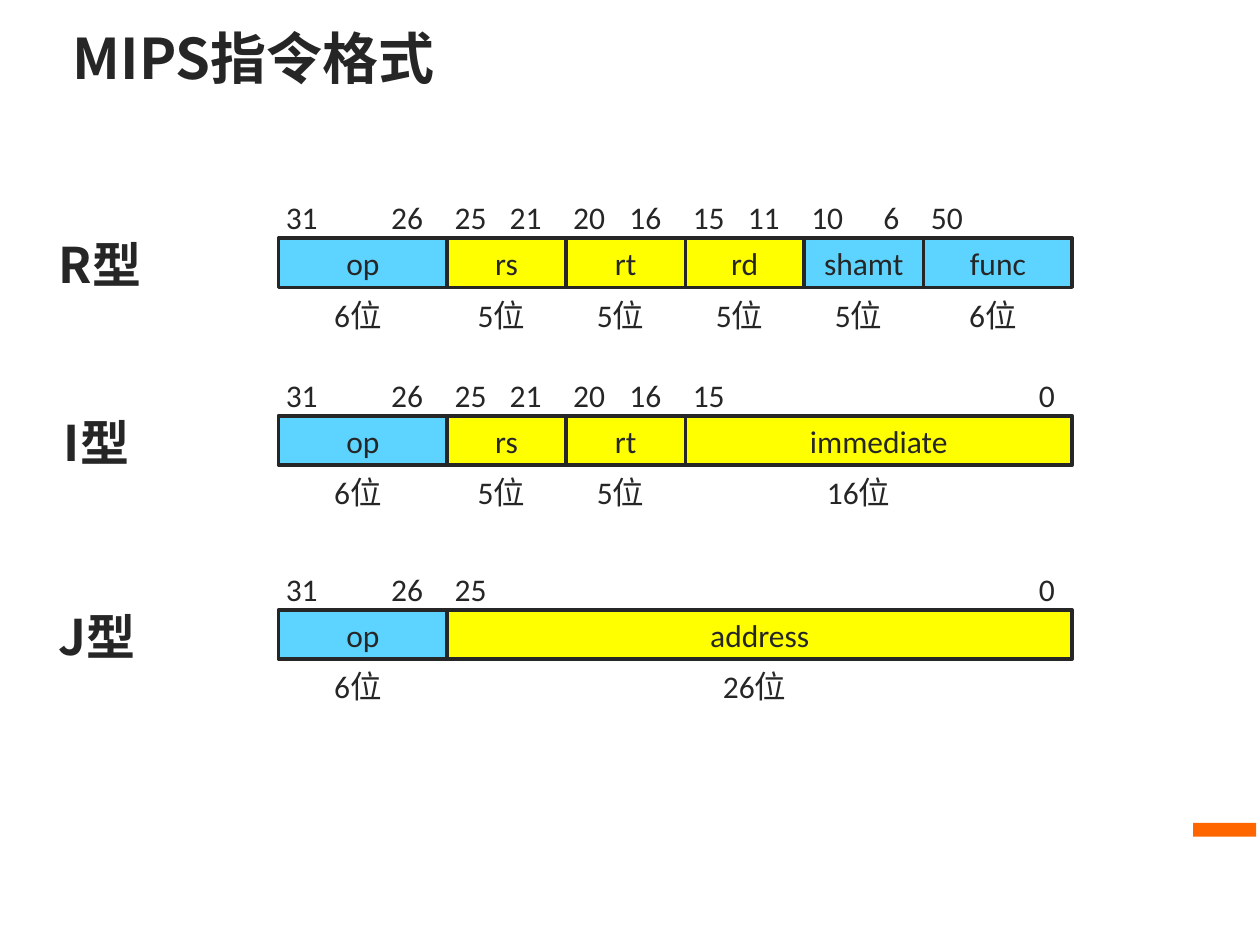
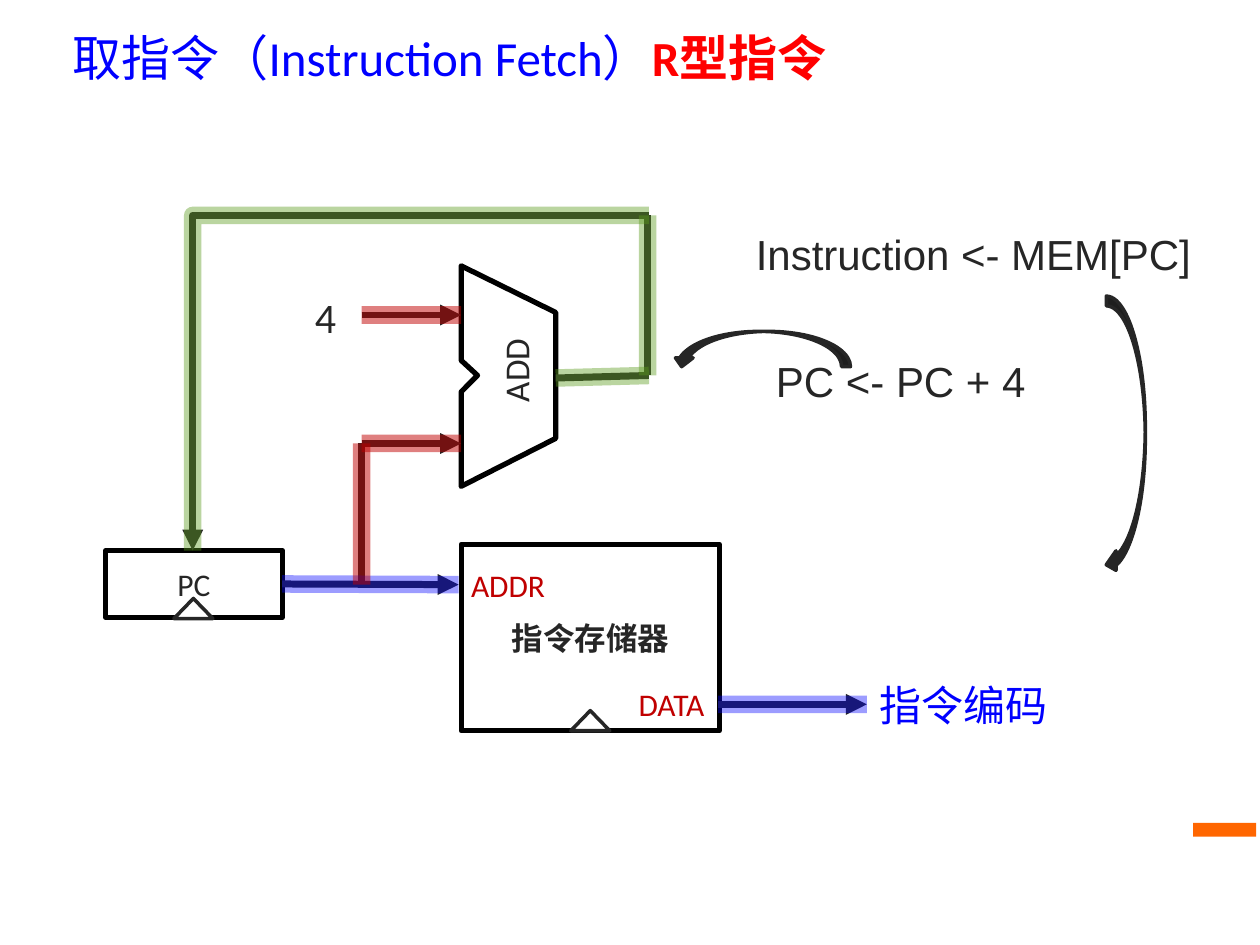
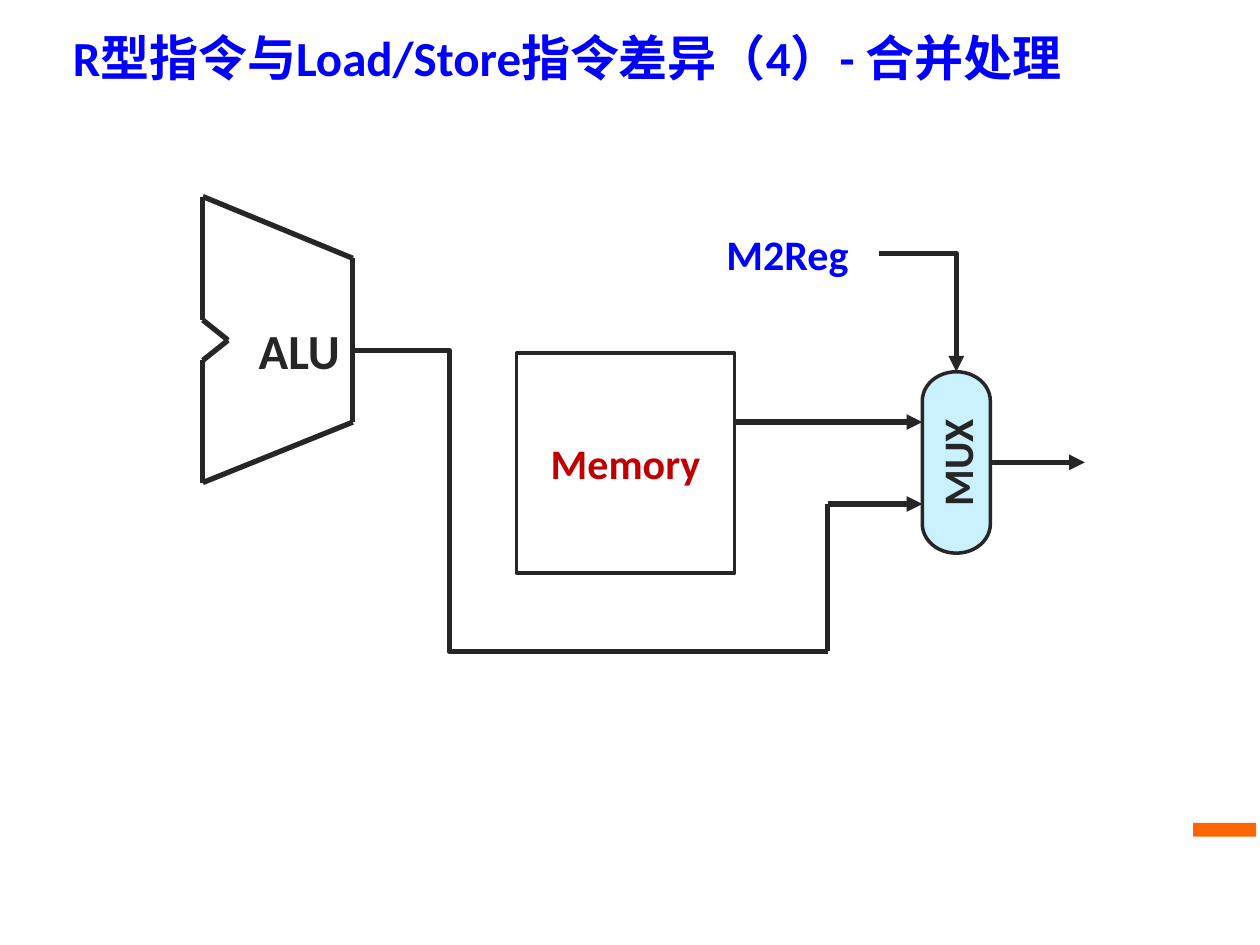
"""Build three slides on MIPS instruction formats and datapath parts."""
import pptx
import pptx.dml.color
import pptx.enum.shapes
import pptx.enum.text
import pptx.oxml.ns
import pptx.oxml.xmlchemy
import pptx.util
from lxml import etree

PX = 9144
COLORS = {
    "ink": "262626", "black": "000000", "white": "FFFFFF", "accent": "FF6600",
    "blue": "0000FF", "red": "FF0000", "crimson": "C00000", "green": "5C9B1D",
    "sky": "5DD4FF", "yellow": "FFFF00", "ice": "C9F1FF",
}
CJK = "Noto Sans CJK SC"
SHAPE = pptx.enum.shapes.MSO_SHAPE
CONNECTOR = pptx.enum.shapes.MSO_CONNECTOR
ALIGN = {
    "left": pptx.enum.text.PP_ALIGN.LEFT,
    "center": pptx.enum.text.PP_ALIGN.CENTER,
    "right": pptx.enum.text.PP_ALIGN.RIGHT,
    "justify": pptx.enum.text.PP_ALIGN.JUSTIFY,
}
qn = pptx.oxml.ns.qn

TITLE_BOX = (48, 8, 919, 75)
ACCENT_BOX = (947, 653, 50, 11)

FIELD_EDGES = [221, 355, 449, 544, 638, 733, 851]
FIELD_HEIGHT = 39
LABEL_SHIFT = -4
BITS_ABOVE, WIDTH_BELOW = -36, 41
TAB_MARGIN = 25
FORMATS = [
    {"name": "R型", "left": 37, "top": 189,
     "fields": [("op", 0, 1, "sky"), ("rs", 1, 2, "yellow"), ("rt", 2, 3, "yellow"),
                ("rd", 3, 4, "yellow"), ("shamt", 4, 5, "sky"), ("func", 5, 6, "sky")],
     "widths": [("6位", 0, 1), ("5位", 1, 2), ("5位", 2, 3),
                ("5位", 3, 4), ("5位", 4, 5), ("6位", 5, 6)],
     "bits": [("31\t26", 0, "left"), ("25\t21", 1, "left"), ("20\t16", 2, "left"),
              ("15\t11", 3, "left"), ("10\t6", 4, "left"), ("50", 5, "justify")]},
    {"name": "I型", "left": 41, "top": 330,
     "fields": [("op", 0, 1, "sky"), ("rs", 1, 2, "yellow"), ("rt", 2, 3, "yellow"),
                ("immediate", 3, 6, "yellow")],
     "widths": [("6位", 0, 1), ("5位", 1, 2), ("5位", 2, 3), ("16位", 4, 5)],
     "bits": [("31\t26", 0, "left"), ("25\t21", 1, "left"), ("20\t16", 2, "left"),
              ("15", 3, "left"), ("0", 5, "right")]},
    {"name": "J型", "left": 37, "top": 484,
     "fields": [("op", 0, 1, "sky"), ("address", 1, 6, "yellow")],
     "widths": [("6位", 0, 1), ("26位", 1, 6)],
     "bits": [("31\t26", 0, "left"), ("25", 1, "left"), ("0", 5, "right")]},
]

ADDER_OUTLINE = [(366, 211), (366, 286), (379, 298), (366, 311),
                 (366, 386), (441, 348), (441, 248)]
PC_BOX = (84, 437, 140, 53)
CLOCK_MARKS = [(138, 475, 31, 16), (453, 564, 31, 16)]
FETCH_WIRES = [
    ("blue", 39, (224, 464), (364, 464), "arrow"),
    ("blue", 39, (570, 559), (688, 559), "arrow"),
    ("crimson", 49, (287, 352), (366, 352), "arrow"),
    ("crimson", 49, (287, 464), (287, 352), "plain"),
    ("crimson", 49, (287, 250), (366, 250), "arrow"),
    ("green", 41, (515, 171), (153, 437), "corner"),
    ("green", 41, (441, 300), (515, 298), "plain"),
    ("green", 41, (514, 298), (514, 171), "plain"),
]
FETCH_LABELS = [
    ("Instruction <- MEM[PC]", (590, 176, 410, 50), 24, "ink", "Arial"),
    ("PC <- PC + 4", (606, 277, 220, 50), 24, "ink", "Arial"),
    ("ADDR", (364, 444, 80, 40), 18, "crimson", "Calibri"),
    ("DATA", (497, 539, 73, 40), 18, "crimson", "Calibri"),
    ("指令编码", (688, 534, 155, 50), 24, "blue", "Calibri"),
    ("4", (240, 226, 37, 50), 24, "ink", "Calibri"),
]

ALU_OUTLINE = [(161, 156), (161, 254), (181, 270), (161, 286),
               (161, 383), (280, 335), (280, 205)]
MERGE_WIRES = [
    ((583, 335), (732, 335), True),
    ((657, 400), (732, 400), True),
    ((657, 400), (657, 517), False),
    ((786, 367), (861, 367), True),
]
MERGE_LABELS = [
    ("ALU", (194, 254, 87, 47), 28, "ink"),
    ("M2Reg", (551, 181, 148, 40), 24, "blue"),
]


def rgb(color):
    return pptx.dml.color.RGBColor.from_string(COLORS[color])


def emu(lengths):
    return [length * PX for length in lengths]


def write(shape, text, size=18, color="ink", font="Calibri", bold=False, align="left", wrap=True):
    frame = shape.text_frame
    frame.word_wrap = wrap
    frame.vertical_anchor = pptx.enum.text.MSO_ANCHOR.MIDDLE
    frame.text = text
    paragraph = frame.paragraphs[0]
    paragraph.alignment = ALIGN[align]
    for run in paragraph.runs:
        style(run, size, color, font, bold)
    return shape


def style(run, size, color, font, bold):
    run.font.size = pptx.util.Pt(size)
    run.font.name = font
    run.font.bold = bold
    run.font.color.rgb = rgb(color)
    east_asian = etree.SubElement(run.font._element, qn("a:ea"))
    east_asian.set("typeface", CJK)


def add_label(slide, text, box, **look):
    return write(slide.shapes.add_textbox(*emu(box)), text, **look)


def paint(shape, fill, line, width):
    shape.shadow.inherit = False
    shape.fill.solid()
    shape.fill.fore_color.rgb = rgb(fill)
    if line:
        shape.line.color.rgb = rgb(line)
        shape.line.width = pptx.util.Pt(width)
    else:
        shape.line.fill.background()
    return shape


def add_block(slide, kind, box, fill="white", line="ink", width=2):
    return paint(slide.shapes.add_shape(kind, *emu(box)), fill, line, width)


def add_wire(slide, start, end, width=3, color="ink", arrow=False, alpha=None, elbow=None, bend=None):
    kind = CONNECTOR.ELBOW if elbow else CONNECTOR.STRAIGHT
    wire = slide.shapes.add_connector(kind, *emu(start + end))
    wire.line.color.rgb = rgb(color)
    wire.line.width = pptx.util.Pt(width)
    properties = wire._element.spPr
    etree.SubElement(properties, qn("a:effectLst"))
    outline = wire.line._get_or_add_ln()
    if alpha:
        tint = outline.find(".//" + qn("a:srgbClr"))
        etree.SubElement(tint, qn("a:alpha")).set("val", str(alpha * 1000))
    if arrow:
        etree.SubElement(outline, qn("a:tailEnd")).set("type", "triangle")
    if elbow:
        geometry = properties.find(qn("a:prstGeom"))
        geometry.set("prst", elbow)
        if bend:
            guide = etree.SubElement(geometry.find(qn("a:avLst")), qn("a:gd"))
            guide.set("name", "adj1")
            guide.set("fmla", f"val {bend}")
    return wire


def start_slide(deck, title_runs, size):
    slide = deck.slides.add_slide(deck.slide_layouts[6])
    add_block(slide, SHAPE.RECTANGLE, ACCENT_BOX, "accent", None)
    title = add_label(slide, "", TITLE_BOX)
    for text, color, font, bold in title_runs:
        run = title.text_frame.paragraphs[0].add_run()
        run.text = text
        style(run, size, color, font, bold)
    return slide


def add_right_tab(label, position):
    properties = label.text_frame.paragraphs[0]._p.get_or_add_pPr()
    stops = etree.SubElement(properties, qn("a:tabLst"))
    stop = etree.SubElement(stops, qn("a:tab"))
    stop.set("pos", str(position * PX))
    stop.set("algn", "r")


def build_formats(deck):
    slide = start_slide(deck, [("MIPS指令格式", "ink", CJK, True)], 32)
    for row in FORMATS:
        top = row["top"]

        def span(first, last, shift=0, drop=0):
            left = FIELD_EDGES[first]
            return left + shift, top + drop, FIELD_EDGES[last] - left, FIELD_HEIGHT

        for name, first, last, fill in row["fields"]:
            field = add_block(slide, SHAPE.RECTANGLE, span(first, last), fill)
            write(field, name, align="center")
        for bit_count, first, last in row["widths"]:
            add_label(slide, bit_count, span(first, last, LABEL_SHIFT, WIDTH_BELOW), align="center")
        for bits, column, align in row["bits"]:
            box = span(column, column + 1, LABEL_SHIFT, BITS_ABOVE)
            label = add_label(slide, bits, box, align=align)
            if "\t" in bits:
                add_right_tab(label, box[2] - TAB_MARGIN)
        add_label(slide, row["name"], (row["left"], top - 17, 180, 75), size=28, font=CJK, bold=True)


def build_fetch(deck):
    slide = start_slide(deck, [("取指令（Instruction Fetch）", "blue", "Calibri", False),
                               ("R型指令", "red", "Calibri", True)], 28)
    counter = add_block(slide, SHAPE.RECTANGLE, PC_BOX, line="black", width=3)
    write(counter, "PC", align="center")
    memory = add_block(slide, SHAPE.RECTANGLE, (366, 432, 205, 148), line="black", width=3)
    write(memory, "指令存储器", bold=True, align="center")
    for box in CLOCK_MARKS:
        add_block(slide, SHAPE.ISOSCELES_TRIANGLE, box)
    builder = slide.shapes.build_freeform(*ADDER_OUTLINE[0], scale=PX)
    builder.add_line_segments(ADDER_OUTLINE[1:], close=True)
    paint(builder.convert_to_shape(), "white", "black", 3)
    adder_label = add_label(slide, "ADD", (382, 268, 54, 61), size=20, wrap=False)
    adder_label.text_frame._txBody.bodyPr.set("vert", "vert270")
    for text, box, size, color, font in FETCH_LABELS:
        add_label(slide, text, box, size=size, color=color, font=font, wrap=font == "Arial")
    for glowing in (False, True):
        for color, alpha, start, end, kind in FETCH_WIRES:
            elbow = "bentConnector2" if kind == "corner" else None
            if glowing:
                wire = add_wire(slide, start, end, 10, color, alpha=alpha, elbow=elbow)
            else:
                wire = add_wire(slide, start, end, 4, arrow=kind != "plain", elbow=elbow)
            if start[0] == PC_BOX[0] + PC_BOX[2]:
                wire.begin_connect(counter, 3)
    add_block(slide, SHAPE.CURVED_LEFT_ARROW, (878, 235, 31, 221), "ink")
    to_adder = add_block(slide, SHAPE.CURVED_DOWN_ARROW, (534, 263, 141, 28), "ink")
    to_adder._element.spPr.get_or_add_xfrm().set("flipH", "1")


def build_merge(deck):
    slide = start_slide(deck, [("R型指令与Load/Store指令差异（4）- 合并处理", "blue", "Calibri", True)], 28)
    for start, end in zip(ALU_OUTLINE, ALU_OUTLINE[1:] + ALU_OUTLINE[:1]):
        add_wire(slide, start, end)
    for text, box, size, color in MERGE_LABELS:
        label = add_label(slide, text, box, size=size, color=color, bold=True, align="center")
        frame = label.text_frame
        frame.margin_left = frame.margin_right = frame.margin_top = frame.margin_bottom = 0
        frame.vertical_anchor = pptx.enum.text.MSO_ANCHOR.TOP
    add_wire(slide, (280, 278), (657, 517), elbow="bentConnector3", bend=20300)
    memory = add_block(slide, SHAPE.RECTANGLE, (410, 280, 173, 175))
    write(memory, "Memory", size=24, color="crimson", bold=True, align="center")
    selector = add_block(slide, SHAPE.FLOWCHART_TERMINATOR, (687, 340, 144, 54), "ice")
    selector.rotation = 270
    write(selector, "MUX", size=24, bold=True, align="center")
    for start, end, arrow in MERGE_WIRES:
        add_wire(slide, start, end, arrow=arrow)
    add_wire(slide, (698, 201), (759, 295), arrow=True, elbow="bentConnector2")


def main():
    deck = pptx.Presentation()
    deck.slide_width, deck.slide_height = emu((1000, 750))
    build_formats(deck)
    build_fetch(deck)
    build_merge(deck)
    deck.save("out.pptx")


if __name__ == "__main__":
    main()
